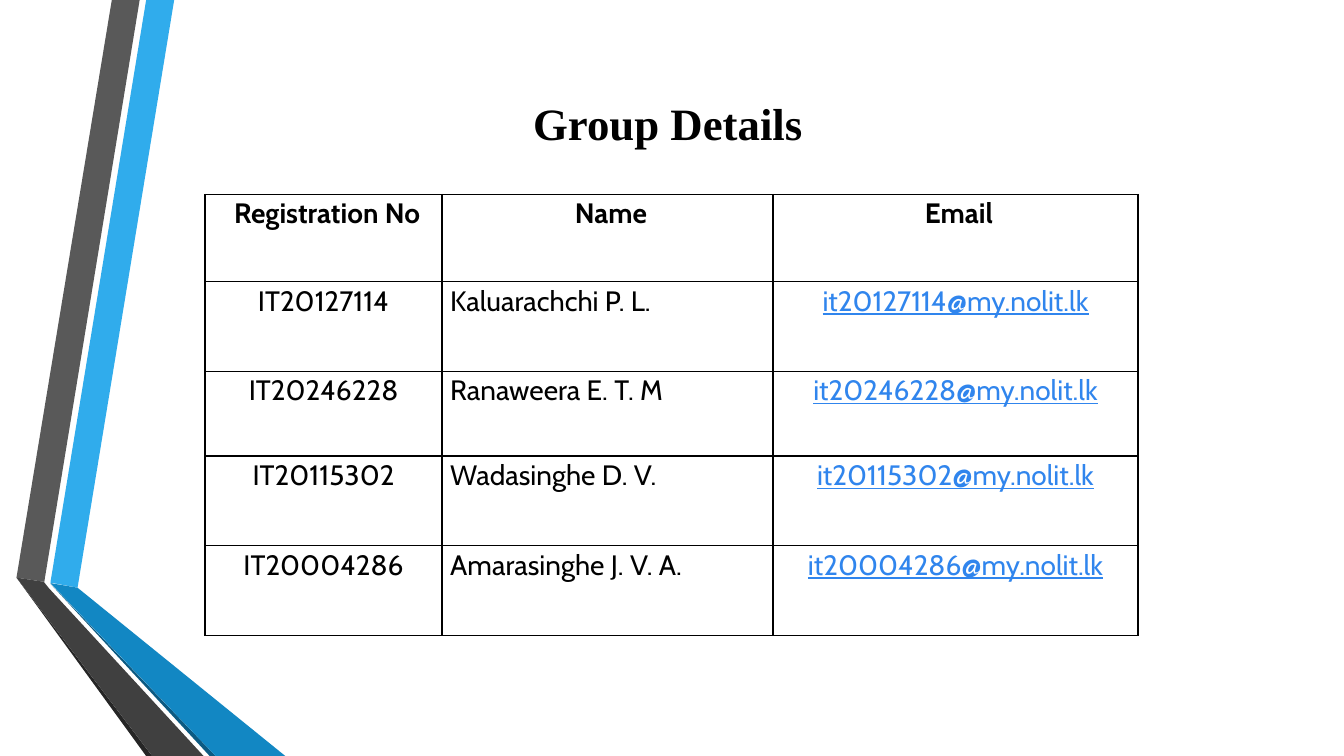
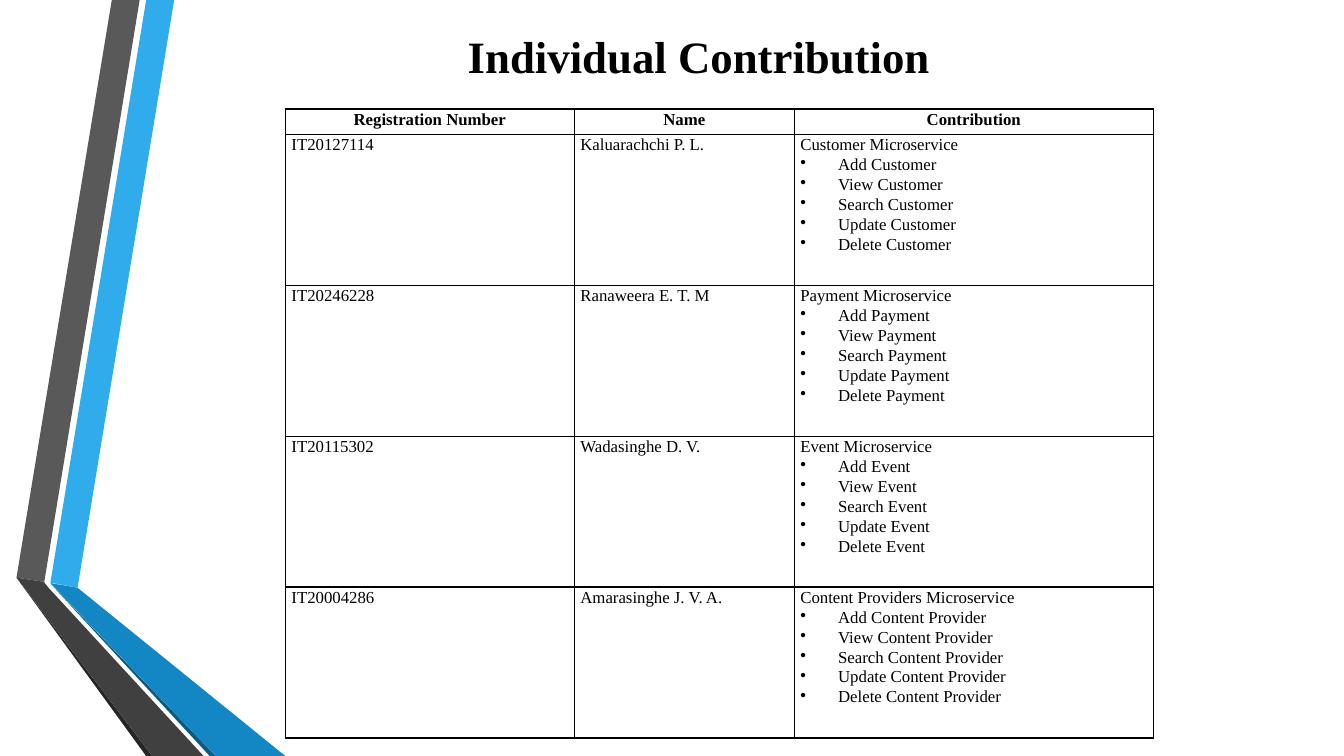
from pptx import Presentation
from pptx.dml.color import RGBColor
from pptx.enum.text import PP_ALIGN
from pptx.oxml import parse_xml
from pptx.oxml.ns import nsdecls
from pptx.util import Pt

LEFT, CENTER = PP_ALIGN.LEFT, PP_ALIGN.CENTER
BLACK = RGBColor(0x00, 0x00, 0x00)
LINK_BLUE = RGBColor(0x30, 0x85, 0xED)
SKY = RGBColor(0x30, 0xAC, 0xEC)
BLUE = RGBColor(0x12, 0x87, 0xC3)
NAVY = RGBColor(0x0C, 0x5A, 0x82)
GRAY = RGBColor(0x59, 0x59, 0x59)
DARK_GRAY = RGBColor(0x40, 0x40, 0x40)
CHARCOAL = RGBColor(0x26, 0x26, 0x26)
SERIF, SANS = "Times New Roman", "Cabin"
MAIL_DOMAIN = "my.nolit.lk"
BULLET_INDENT = 27

RIBBONS = [
    (SKY, [(36, 416.2), (55.4, 419.8), (124.4, 0), (104.4, 0)]),
    (GRAY, [(99.8, 0), (79.9, 0), (11.8, 412.6), (31.7, 415.6)]),
    (CHARCOAL, [(11.8, 412.6), (104.4, 540), (108.7, 540)]),
    (NAVY, [(36, 416.9), (149.8, 540), (154.1, 540)]),
    (BLUE, [(36, 416.5), (154.1, 540), (203.8, 540), (55.4, 419.8)]),
    (DARK_GRAY, [(145.4, 540), (34.6, 419.8), (31.3, 415.6), (11.8, 412.6), (108.7, 540)]),
]

MEMBERS = [
    ("IT20127114", "Kaluarachchi P. L.", "Customer", "Customer"),
    ("IT20246228", "Ranaweera E. T. M", "Payment", "Payment"),
    ("IT20115302", "Wadasinghe D. V.", "Event", "Event"),
    ("IT20004286", "Amarasinghe J. V. A.", "Content Providers", "Content Provider"),
]
ACTIONS = ["Add", "View", "Search", "Update", "Delete"]


def add_span(para, text, font, size, color=BLACK, bold=False, underline=False):
    span = para.add_run()
    span.text = text
    span.font.name = font
    span.font.size = Pt(size)
    span.font.bold = bold
    span.font.underline = underline
    span.font.color.rgb = color


def add_ribbons(page, left, top):
    for color, corners in RIBBONS:
        points = [(Pt(left + x), Pt(top + y)) for x, y in corners]
        builder = page.shapes.build_freeform(*points[0], scale=1.0)
        builder.add_line_segments(points[1:], close=True)
        ribbon = builder.convert_to_shape()
        ribbon.shadow.inherit = False
        ribbon.fill.solid()
        ribbon.fill.fore_color.rgb = color
        ribbon.line.fill.background()


def add_title(page, text, left, top, width, height=46):
    box = page.shapes.add_textbox(Pt(left), Pt(top), Pt(width), Pt(height))
    box.text_frame.word_wrap = False
    para = box.text_frame.paragraphs[0]
    para.alignment = LEFT
    add_span(para, text, SERIF, 32, bold=True)


def style_cell(cell, side_inset):
    cell.margin_left = cell.margin_right = Pt(side_inset)
    cell.margin_top = cell.margin_bottom = 0
    cell.fill.background()
    properties = cell._tc.get_or_add_tcPr()
    for order, side in enumerate(("lnL", "lnR", "lnT", "lnB")):
        properties.insert(order, parse_xml(
            f'<a:{side} {nsdecls("a")} w="{Pt(1)}"><a:solidFill>'
            f'<a:srgbClr val="{BLACK}"/></a:solidFill></a:{side}>'))


def add_grid(page, left, top, widths, heights, side_inset):
    frame = page.shapes.add_table(
        len(heights), len(widths), Pt(left), Pt(top), Pt(sum(widths)), Pt(sum(heights)))
    table = frame.table
    table.first_row = table.horz_banding = False
    for column, width in zip(table.columns, widths):
        column.width = Pt(width)
    for row, height in zip(table.rows, heights):
        row.height = Pt(height)
    for cell in table.iter_cells():
        style_cell(cell, side_inset)
    return table


def set_para(para, align=LEFT, margin=0, hanging=0):
    para.alignment = align
    para.line_spacing = 1.07
    properties = para._p.get_or_add_pPr()
    properties.set("marL", str(Pt(margin)))
    properties.set("indent", str(Pt(-hanging)))
    if hanging:
        properties.append(parse_xml(f'<a:buChar {nsdecls("a")} char="•"/>'))
    return para


def fill_cell(cell, text, font, size, align=LEFT, margin=0, **style):
    para = set_para(cell.text_frame.paragraphs[0], align, margin)
    add_span(para, text, font, size, **style)


def fill_header(table, labels, font, size, margin=0):
    for column, label in enumerate(labels):
        fill_cell(table.cell(0, column), label, font, size, CENTER, margin, bold=True)


def add_details_table(page, left, top):
    table = add_grid(page, left, top, [169.3, 236.4, 260.7], [62.4, 63.9, 60.5, 64.1, 63.9], 0)
    fill_header(table, ["Registration No", "Name", "Email"], SANS, 20, 5)
    for row, (number, name, _, _) in enumerate(MEMBERS, 1):
        fill_cell(table.cell(row, 0), number, SANS, 20, CENTER)
        fill_cell(table.cell(row, 1), name, SANS, 20, margin=5.8)
        fill_cell(table.cell(row, 2), f"{number.lower()}@{MAIL_DOMAIN}", SANS, 20, CENTER,
                  color=LINK_BLUE, underline=True)


def add_contribution_table(page, left, top):
    table = add_grid(page, left, top, [206.4, 157.1, 256.4], [18.2] + [107.8] * len(MEMBERS), 4.3)
    fill_header(table, ["Registration Number", "Name", "Contribution"], SERIF, 12)
    for row, (number, name, service, item) in enumerate(MEMBERS, 1):
        for column, text in enumerate((number, name, f"{service} Microservice")):
            fill_cell(table.cell(row, column), text, SERIF, 12)
        for action in ACTIONS:
            para = table.cell(row, 2).text_frame.add_paragraph()
            set_para(para, margin=BULLET_INDENT, hanging=BULLET_INDENT)
            add_span(para, f"{action} {item}", SERIF, 12)


def add_page(deck):
    page = deck.slides.add_slide(deck.slide_layouts[6])
    add_ribbons(page, 0, 0)
    return page


def build_details(deck):
    page = add_page(deck)
    add_details_table(page, 146.5, 138.9)
    add_title(page, "Group Details", 373.7, 64.8, 212.4)


def build_contribution(deck):
    page = add_page(deck)
    add_contribution_table(page, 203.9, 77.8)
    add_title(page, "Individual Contribution", 327, 16.9, 347)


def main():
    deck = Presentation()
    deck.slide_width, deck.slide_height = Pt(960), Pt(540)
    build_details(deck)
    build_contribution(deck)
    deck.save("out.pptx")


if __name__ == "__main__":
    main()
